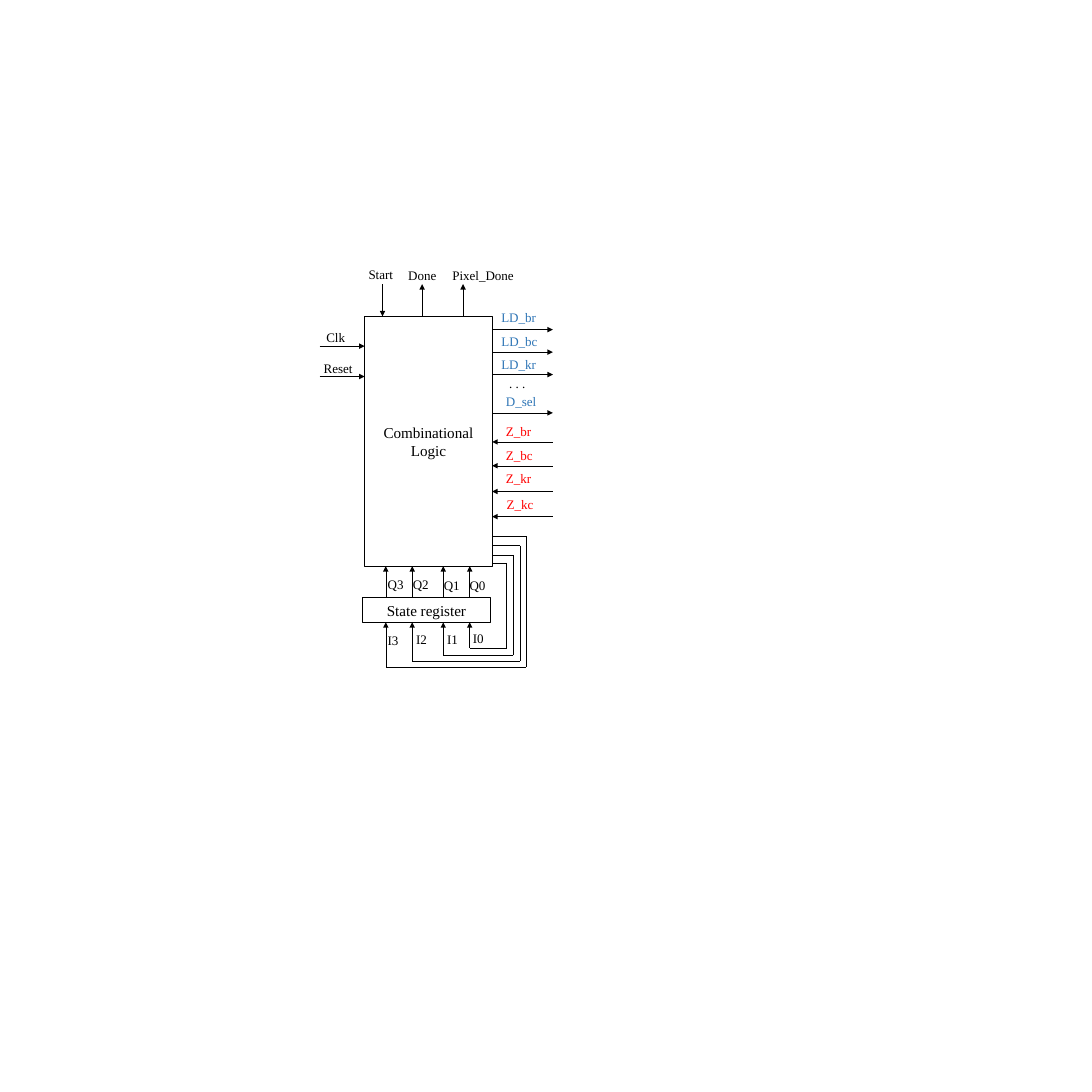
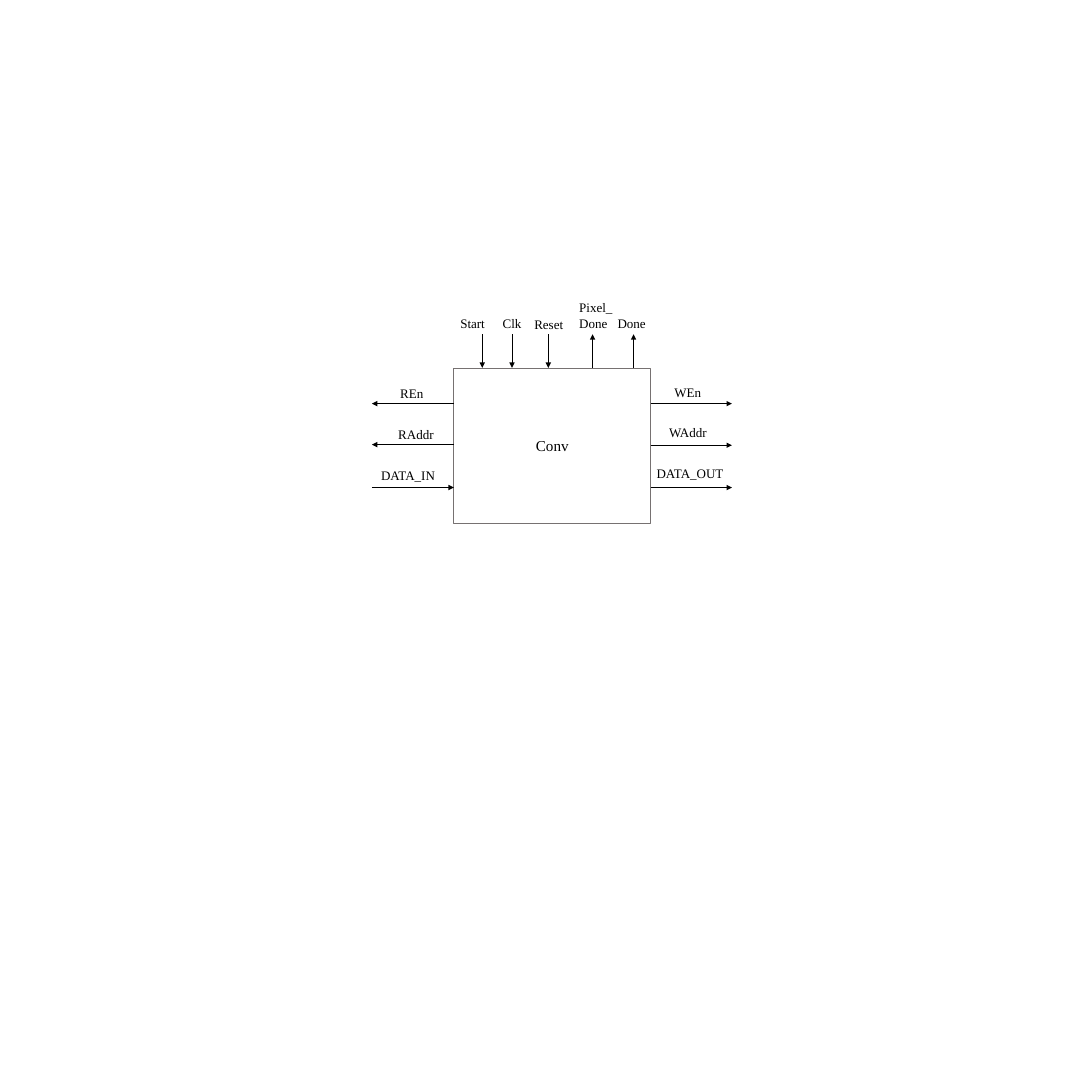
from itertools import pairwise

from pptx import Presentation
from pptx.dml.color import RGBColor
from pptx.enum import shapes, text
from pptx.oxml import ns, xmlchemy
from pptx.util import Inches, Pt

COLORS = {"paper": "FFFFFF", "ink": "000000", "frame": "767171",
          "load": "2E75B6", "zero": "FF0000"}
FONT = "Times New Roman"
BLOCK_SIZE, LABEL_SIZE = 16.5, 14.2
LABEL_HEIGHT = 0.34

LOGIC = (5.52, 4.79, 1.93, 3.78)
REGISTER = (5.49, 9.05, 1.93, 0.37)
CONV = (6.87, 5.57, 2.98, 2.35)

# label, wire position, flow, label left, label top, label width
LOGIC_TOP = [
    ("Start", 5.79, "in", 5.48, 3.98, 0.71),
    ("Done", 6.39, "out", 6.08, 4.0, 0.85),
    ("Pixel_Done", 7.01, "out", 6.75, 4.0, 1.23),
]
LOGIC_LEFT = [
    ("Clk", 5.24, "in", 4.84, 4.94, 0.85),
    ("Reset", 5.7, "in", 4.8, 5.41, 0.85),
]
LOADS = [
    ("LD_br", 4.99, "out", 7.49, 4.64, 0.73),
    ("LD_bc", 5.33, "out", 7.49, 5.0, 0.75),
    ("LD_kr", 5.67, "out", 7.49, 5.34, 0.73),
    ("D_sel", 6.25, "out", 7.56, 5.9, 0.66),
]
ZEROS = [
    ("Z_br", 6.69, "in", 7.56, 6.36, 0.59),
    ("Z_bc", 7.05, "in", 7.56, 6.72, 0.61),
    ("Z_kr", 7.44, "in", 7.56, 7.07, 0.59),
    ("Z_kc", 7.82, "in", 7.57, 7.46, 0.61),
]
ELLIPSIS = (". . .", 7.61, 5.63, 1.46)

# bit, column, exit from logic, lane, lowest point, Q label place, I label place
STATE_BITS = [
    (0, 7.11, 8.52, 7.67, 9.81, (7.01, 8.7), (7.06, 9.5)),
    (1, 6.71, 8.4, 7.77, 9.92, (6.62, 8.69), (6.67, 9.51)),
    (2, 6.24, 8.26, 7.87, 10.01, (6.15, 8.67), (6.2, 9.51)),
    (3, 5.84, 8.12, 7.96, 10.1, (5.77, 8.68), (5.77, 9.52)),
]
BIT_LABEL_WIDTH = 0.54

CONV_TOP = [
    ("Start", 7.3, "in", 6.87, 4.72, 0.64),
    ("Clk", 7.75, "in", 7.51, 4.73, 0.64),
    ("Reset", 8.3, "in", 7.99, 4.74, 0.77),
    ("Pixel_Done", 8.97, "out", 8.67, 4.49, 0.8),
    ("Done", 9.59, "out", 9.25, 4.73, 0.79),
]
CONV_LEFT = [
    ("REn", 6.11, "out", 5.96, 5.79, 0.64),
    ("RAddr", 6.73, "out", 5.93, 6.41, 0.77),
    ("DATA_IN", 7.38, "in", 5.67, 7.02, 1.11),
]
CONV_RIGHT = [
    ("WEn", 6.11, "out", 10.11, 5.77, 0.64),
    ("WAddr", 6.74, "out", 10.03, 6.37, 0.84),
    ("DATA_OUT", 7.38, "out", 9.84, 7.0, 1.41),
]


def rgb(color):
    return RGBColor.from_string(COLORS[color])


def write(paragraph, words, size, color):
    run = paragraph.add_run()
    run.text = words
    run.font.name = FONT
    run.font.size = Pt(size)
    run.font.color.rgb = rgb(color)


def add_block(slide, words, box, line_color="ink"):
    block = slide.shapes.add_shape(
        shapes.MSO_SHAPE.RECTANGLE, *map(Inches, box))
    block.shadow.inherit = False
    block.fill.solid()
    block.fill.fore_color.rgb = rgb("paper")
    block.line.color.rgb = rgb(line_color)
    block.line.width = Pt(1)
    frame = block.text_frame
    frame.word_wrap = True
    frame.vertical_anchor = text.MSO_ANCHOR.MIDDLE
    paragraph = frame.paragraphs[0]
    paragraph.alignment = text.PP_ALIGN.CENTER
    write(paragraph, words, BLOCK_SIZE, "ink")


def add_label(slide, words, left, top, width, color="ink"):
    label = slide.shapes.add_textbox(
        *map(Inches, (left, top, width, LABEL_HEIGHT)))
    frame = label.text_frame
    frame.word_wrap = color == "ink"
    frame.auto_size = text.MSO_AUTO_SIZE.SHAPE_TO_FIT_TEXT
    write(frame.paragraphs[0], words, LABEL_SIZE, color)


def add_wire(slide, *points):
    for start, end in pairwise(points):
        wire = slide.shapes.add_connector(
            shapes.MSO_CONNECTOR.STRAIGHT, *map(Inches, start + end))
        wire.line.color.rgb = rgb("ink")
        wire.line.width = Pt(0.5)
        properties = wire.element.spPr
        properties.append(xmlchemy.OxmlElement("a:effectLst"))
    arrowhead = xmlchemy.OxmlElement("a:tailEnd")
    arrowhead.set("type", "triangle")
    properties.find(ns.qn("a:ln")).append(arrowhead)


def add_signals(slide, box, side, length, signals, color="ink"):
    left, top, width, height = box
    for words, position, flow, label_left, label_top, label_width in signals:
        inner, outer = {
            "top": ((position, top), (position, top - length)),
            "left": ((left, position), (left - length, position)),
            "right": ((left + width, position),
                      (left + width + length, position)),
        }[side]
        ends = (inner, outer) if flow == "out" else (outer, inner)
        add_wire(slide, *ends)
        add_label(slide, words, label_left, label_top, label_width, color)


def add_state_bits(slide):
    logic_right, logic_bottom = LOGIC[0] + LOGIC[2], LOGIC[1] + LOGIC[3]
    register_top = REGISTER[1]
    register_bottom = register_top + REGISTER[3]
    for bit, column, exit_y, lane, lowest, q_place, i_place in STATE_BITS:
        add_wire(slide, (logic_right, exit_y), (lane, exit_y), (lane, lowest),
                 (column, lowest), (column, register_bottom))
        add_wire(slide, (column, register_top), (column, logic_bottom))
        add_label(slide, f"Q{bit}", *q_place, BIT_LABEL_WIDTH)
        add_label(slide, f"I{bit}", *i_place, BIT_LABEL_WIDTH)


presentation = Presentation()
presentation.slide_width = presentation.slide_height = Inches(16.53)
blank = presentation.slide_layouts[6]

controller = presentation.slides.add_slide(blank)
add_block(controller, "Combinational Logic", LOGIC)
add_block(controller, "State register", REGISTER)
add_signals(controller, LOGIC, "top", 0.49, LOGIC_TOP)
add_signals(controller, LOGIC, "left", 0.68, LOGIC_LEFT)
add_signals(controller, LOGIC, "right", 0.92, LOADS, "load")
add_signals(controller, LOGIC, "right", 0.92, ZEROS, "zero")
add_label(controller, *ELLIPSIS)
add_state_bits(controller)

convolution = presentation.slides.add_slide(blank)
add_block(convolution, "Conv", CONV, "frame")
add_signals(convolution, CONV, "top", 0.51, CONV_TOP)
add_signals(convolution, CONV, "left", 1.24, CONV_LEFT)
add_signals(convolution, CONV, "right", 1.23, CONV_RIGHT)

presentation.save("out.pptx")
